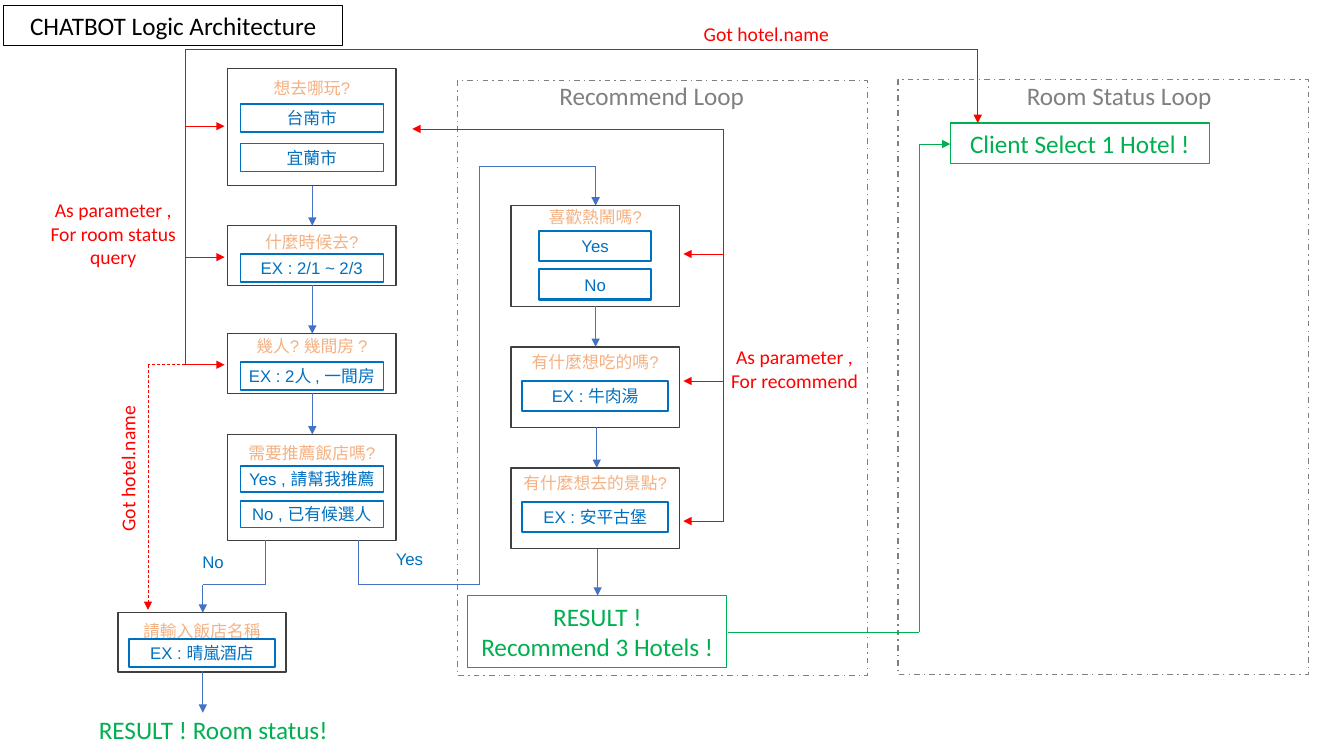
from dataclasses import dataclass
from itertools import pairwise

from lxml.etree import SubElement as Sub
from pptx import Presentation
from pptx.dml.color import RGBColor as Rgb
from pptx.enum.dml import MSO_LINE as Dash
from pptx.enum.shapes import MSO_CONNECTOR as Conn, MSO_SHAPE as Shape
from pptx.enum.text import MSO_ANCHOR as Anchor, PP_ALIGN as Align
from pptx.oxml.ns import qn
from pptx.util import Cm, Pt


@dataclass(frozen=True)
class Theme:
    """Colours, fonts and type sizes of the slide."""
    ink: str = "000000"
    edge: str = "404040"
    grey: str = "808080"
    ask: str = "F4B183"
    reply: str = "0070C0"
    flow: str = "4472C4"
    done: str = "00B050"
    param: str = "FF0000"
    chat: str = "Arial"
    label: str = "Calibri"
    small: int = 12
    mid: int = 14
    big: int = 18


THEME = Theme()


def write(shape, text, color, size, font):
    """Fill a shape with centred text, one paragraph per line."""
    frame = shape.text_frame
    frame.word_wrap = True
    frame.vertical_anchor = Anchor.MIDDLE
    frame.margin_left = frame.margin_right = 0
    frame.margin_top = frame.margin_bottom = 0
    for num, line in enumerate(text.split("\n")):
        para = frame.add_paragraph() if num else frame.paragraphs[0]
        para.alignment = Align.CENTER
        run = para.add_run()
        run.text = line
        run.font.size = Pt(size)
        run.font.name = font
        run.font.color.rgb = Rgb.from_string(color)


def stroke(line, color, width, dash=None):
    """Set the colour, width and dash of a line."""
    line.color.rgb = Rgb.from_string(color)
    line.width = Pt(width)
    if dash:
        line.dash_style = dash


def box(slide, area, color, width=1, dash=None):
    """Add an unfilled box."""
    shape = slide.shapes.add_shape(Shape.RECTANGLE, *map(Cm, area))
    shape.shadow.inherit = False
    shape.fill.background()
    stroke(shape.line, color, width, dash)
    return shape


def note(slide, area, text, color, size, font=THEME.label, turn=0):
    """Add a free label."""
    shape = slide.shapes.add_textbox(*map(Cm, area))
    shape.rotation = turn
    write(shape, text, color, size, font)


def card(slide, area, ask, shift, replies, first, size, step=0, width=1):
    """Add a question card with its reply boxes centred below."""
    left, top, wide, _ = area
    box(slide, area, THEME.edge)
    note(slide, (left, top + shift, wide, 0.76), ask,
         THEME.ask, THEME.small, THEME.chat)
    span, tall = size
    for num, reply in enumerate(replies):
        spot = (left + (wide - span) / 2, top + first + num * step, span, tall)
        write(box(slide, spot, THEME.reply, width), reply,
              THEME.reply, THEME.small, THEME.chat)


def route(slide, color, *points, dash=None):
    """Join points with straight lines, ending in an arrowhead."""
    for start, end in pairwise(points):
        link = slide.shapes.add_connector(
            Conn.STRAIGHT, *map(Cm, (*start, *end)))
        stroke(link.line, color, 0.5, dash)
        props = link.element.spPr
        if end == points[-1]:
            Sub(props.find(qn("a:ln")), qn("a:tailEnd"), type="triangle")
        Sub(props, qn("a:effectLst"))


def head(slide):
    """Place the framed title."""
    title = slide.shapes.title
    title.left, title.top, title.width, title.height = map(
        Cm, (0.1, 0.13, 8.53, 1.02))
    stroke(title.line, THEME.ink, 0.75)
    write(title, "CHATBOT Logic Architecture", THEME.ink, THEME.big, THEME.label)


def cards(slide):
    """Add every question of the chat."""
    left, right, wide = 5.74, 12.88, 4.24
    slim, broad = (3.61, 0.71), (3.68, 0.76)
    card(slide, (left, 1.73, wide, 2.95), "想去哪玩?", 0.1,
         ["台南市", "宜蘭市"], 0.89, slim, 0.99)
    card(slide, (left, 5.69, wide, 1.5), "什麼時候去?", 0.03,
         ["EX : 2/1 ~ 2/3"], 0.71, slim)
    card(slide, (left, 8.41, wide, 1.5), "幾人? 幾間房 ?", -0.08,
         ["EX : 2人 , 一間房"], 0.71, slim)
    card(slide, (left, 10.95, wide, 2.67), "需要推薦飯店嗎?", 0.08,
         ["Yes , 請幫我推薦", "No , 已有候選人"], 0.79, (3.61, 0.66), 0.89)
    card(slide, (2.97, 15.44, wide, 1.5), "請輸入飯店名稱", 0.08,
         ["EX : 晴嵐酒店"], 0.66, (3.68, 0.71))
    card(slide, (right, 5.18, wide, 2.54), "喜歡熱鬧嗎?", -0.1,
         ["Yes", "No"], 0.64, (2.82, 0.76), 0.97, 1.5)
    card(slide, (right, 8.74, wide, 2.03), "有什麼想吃的嗎?", 0,
         ["EX : 牛肉湯"], 0.86, broad)
    card(slide, (right, 11.79, wide, 2.03), "有什麼想去的景點?", 0,
         ["EX : 安平古堡"], 0.86, broad)


def loops(slide):
    """Add the two loop frames, their names and the results."""
    for left, top, name, start in ((11.53, 2.03, "Recommend Loop", 13.16),
                                   (22.63, 2.01, "Room Status Loop", 24.94)):
        box(slide, (left, top, 10.34, 14.99), THEME.grey, 1, Dash.DASH_DOT)
        note(slide, (start, 1.9, 6.53, 1.02), name, THEME.grey, THEME.big)
    for area, text in (
            ((11.79, 15.01, 6.53, 1.8), "RESULT !\nRecommend 3 Hotels !"),
            ((23.95, 3.1, 6.53, 1.02), "Client Select 1 Hotel !")):
        write(box(slide, area, THEME.done, 0.75), text,
              THEME.done, THEME.big, THEME.label)
    note(slide, (2.11, 17.86, 6.53, 1.02), "RESULT ! Room status!",
         THEME.done, THEME.big)


def routes(slide):
    """Add the flow arrows and the parameter arrows."""
    for col, top, end in ((7.87, 4.68, 5.69), (7.87, 7.19, 8.41),
                          (7.87, 9.91, 10.95), (15.01, 7.72, 8.74),
                          (15.04, 10.77, 11.79), (15.06, 13.84, 15.01),
                          (5.11, 16.92, 17.96)):
        route(slide, THEME.flow, (col, top), (col, end))
    route(slide, THEME.flow, (9.02, 13.61), (9.02, 14.73), (12.07, 14.73),
          (12.07, 4.19), (15.01, 4.19), (15.01, 5.18))
    route(slide, THEME.flow, (6.68, 13.61), (6.68, 14.73),
          (5.11, 14.73), (5.11, 15.44))
    route(slide, THEME.done, (18.34, 15.93), (23.17, 15.93),
          (23.17, 3.63), (23.95, 3.63))
    route(slide, THEME.param, (18.24, 13.13), (18.24, 3.25), (10.39, 3.25))
    for row in (6.4, 9.6, 13.13):
        route(slide, THEME.param, (18.24, row), (17.22, row))
    route(slide, THEME.param, (4.67, 9.19), (4.67, 1.25),
          (24.64, 1.25), (24.64, 3.1))
    for row in (3.18, 6.48, 9.19):
        route(slide, THEME.param, (4.67, row), (5.66, row))
    route(slide, THEME.param, (4.67, 9.19), (3.73, 9.19), (3.73, 15.37),
          dash=Dash.DASH)


def labels(slide):
    """Name the arrows."""
    for left, top, text in ((4.57, 13.77, "No"), (9.52, 13.69, "Yes")):
        note(slide, (left, top, 1.6, 0.76), text,
             THEME.reply, THEME.small, THEME.chat)
    for left, top, tall, text, turn in (
            (17.98, 8.56, 1.45, "As parameter ,\nFor recommend", 0),
            (0.81, 4.85, 2.06, "As parameter ,\nFor room status\nquery", 0),
            (17.27, 0.41, 0.86, "Got hotel.name", 0),
            (1.17, 11.38, 0.86, "Got hotel.name", 270)):
        note(slide, (left, top, 4.09, tall), text,
             THEME.param, THEME.mid, turn=turn)


def main():
    """Build the slide and save it."""
    deck = Presentation()
    deck.slide_width, deck.slide_height = Cm(33.87), Cm(19.05)
    slide = deck.slides.add_slide(deck.slide_layouts[5])
    for draw in (head, cards, loops, routes, labels):
        draw(slide)
    deck.save("out.pptx")


main()
